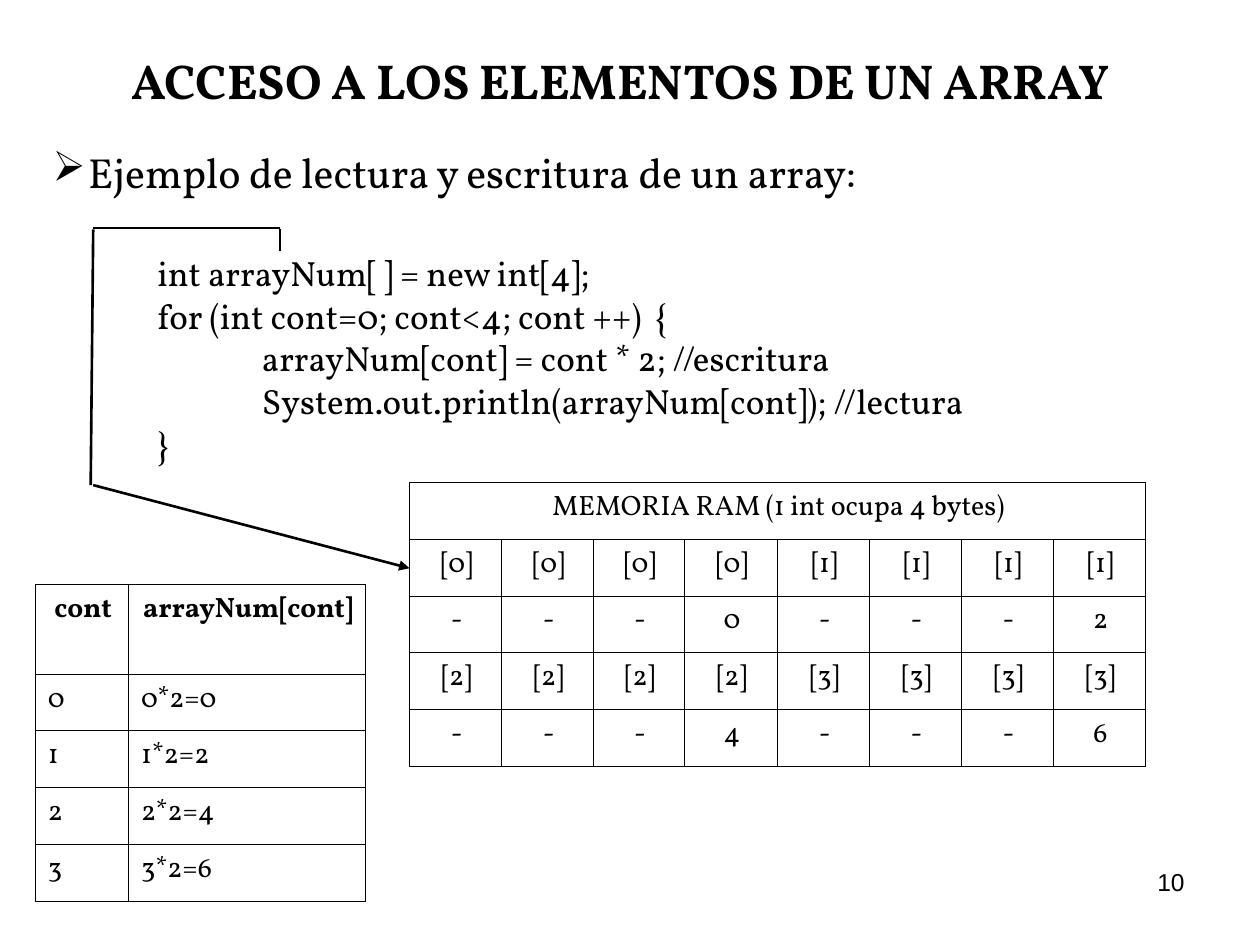
import dataclasses
import typing

import lxml.etree
import pptx
import pptx.dml.color
import pptx.enum.shapes
import pptx.enum.text
import pptx.oxml.ns
import pptx.util

Inches = pptx.util.Inches
Pt = pptx.util.Pt
Align = pptx.enum.text.PP_ALIGN
Anchor = pptx.enum.text.MSO_ANCHOR

COLORS = {"ink": "000000", "paper": "FFFFFF"}
SERIF = "Vollkorn"
TAB_STEP = 0.83
HANGING = 0.38
CODE_FORMAT = {"line_spacing": Pt(24.4), "alignment": Align.LEFT}


@dataclasses.dataclass
class Line:
    start: tuple[float, float]
    end: tuple[float, float]
    width: float
    arrow: bool = False


@dataclasses.dataclass
class Grid:
    left: float
    top: float
    columns: list[float]
    rows: list[float]
    texts: list[list[str]]
    body_align: Align
    bold_header: bool


def rgb(name: str) -> pptx.dml.color.RGBColor:
    return pptx.dml.color.RGBColor.from_string(COLORS[name])


def add_xml(parent: typing.Any, tag: str, **attributes: typing.Any) -> typing.Any:
    values = {key: str(value) for key, value in attributes.items()}
    return lxml.etree.SubElement(parent, pptx.oxml.ns.qn(tag), values)


def set_indent(para: typing.Any, margin: float) -> None:
    """Give the paragraph a hanging first line."""
    properties = para._p.get_or_add_pPr()
    properties.set("marL", str(Inches(margin)))
    properties.set("indent", str(-Inches(margin)))


def write(para: typing.Any, text: str, size: float, bold: bool = False,
          font: str = SERIF, **layout: typing.Any) -> None:
    span = para.add_run()
    span.text = text
    for name, value in {"size": Pt(size), "bold": bold, "name": font}.items():
        setattr(span.font, name, value)
    span.font.color.rgb = rgb("ink")
    for name, value in layout.items():
        setattr(para, name, value)


def add_box(slide: typing.Any, left: float, top: float, width: float, height: float,
            anchor: Anchor = Anchor.TOP) -> typing.Any:
    box = slide.shapes.add_textbox(Inches(left), Inches(top), Inches(width), Inches(height))
    frame = box.text_frame
    for name, value in {"word_wrap": True, "vertical_anchor": anchor}.items():
        setattr(frame, name, value)
    return frame


def add_example(slide: typing.Any, heading: str, code: list[str]) -> None:
    frame = add_box(slide, 0.32, 1.11, 8.82, 2.63)
    para = frame.paragraphs[0]
    set_indent(para, 0.28)
    add_xml(para._p.get_or_add_pPr(), "a:buChar", char="➢")
    write(para, heading, 24, alignment=Align.JUSTIFY)
    for index, text in enumerate(code):
        para = frame.add_paragraph()
        tabs = add_xml(para._p.get_or_add_pPr(), "a:tabLst")
        for stop in (1, 2):
            add_xml(tabs, "a:tab", pos=Inches(TAB_STEP * stop), algn="l")
        write(para, text, 20, space_before=Pt(0 if index else 31), **CODE_FORMAT)


def style_cell(cell: typing.Any) -> None:
    properties = cell._tc.get_or_add_tcPr()
    for side in ("L", "R", "T", "B"):
        border = add_xml(properties, f"a:ln{side}", w=Pt(0.45))
        add_xml(add_xml(border, "a:solidFill"), "a:srgbClr", val=COLORS["ink"])
    cell.fill.solid()
    cell.fill.fore_color.rgb = rgb("paper")
    margins = {"margin_left": 0.1, "margin_right": 0.08, "margin_top": 0.05, "margin_bottom": 0.05}
    for name, value in margins.items():
        setattr(cell, name, Inches(value))


def add_grid(slide: typing.Any, grid: Grid) -> None:
    shape = slide.shapes.add_table(
        len(grid.rows), len(grid.columns), Inches(grid.left), Inches(grid.top),
        Inches(sum(grid.columns)), Inches(sum(grid.rows)))
    table = shape.table
    table.first_row = table.horz_banding = False
    for column, width in zip(table.columns, grid.columns):
        column.width = Inches(width)
    for row, height in zip(table.rows, grid.rows):
        row.height = Inches(height)
    for cell in table.iter_cells():
        style_cell(cell)
    if len(grid.texts[0]) == 1:
        table.cell(0, 0).merge(table.cell(0, len(grid.columns) - 1))
    for row_index, texts in enumerate(grid.texts):
        header = row_index == 0
        for column_index, text in enumerate(texts):
            para = table.cell(row_index, column_index).text_frame.paragraphs[0]
            set_indent(para, HANGING)
            write(para, text, 16, header and grid.bold_header,
                  alignment=Align.CENTER if header else grid.body_align)


def add_line(slide: typing.Any, line: Line) -> None:
    points = [Inches(value) for value in line.start + line.end]
    connector = slide.shapes.add_connector(pptx.enum.shapes.MSO_CONNECTOR.STRAIGHT, *points)
    connector.line.color.rgb = rgb("ink")
    connector.line.width = Pt(line.width)
    if line.arrow:
        add_xml(connector.line._get_or_add_ln(), "a:tailEnd", type="triangle")
    add_xml(connector._element.spPr, "a:effectLst")


def memory_rows() -> list[list[str]]:
    """Each int takes four bytes, with its value in the last; two ints per row."""
    rows = [["MEMORIA RAM (1 int ocupa 4 bytes)"]]
    for first in (0, 2):
        pair = (first, first + 1)
        rows.append([f"[{index}]" for index in pair for _ in range(4)])
        rows.append([text for index in pair for text in ["-"] * 3 + [str(index * 2)]])
    return rows


def main() -> None:
    deck = pptx.Presentation()
    deck.slide_width, deck.slide_height = Inches(10), Inches(7.5)
    slide = deck.slides.add_slide(deck.slide_layouts[6])

    number = add_box(slide, 7.17, 6.83, 2.33, 0.52)
    write(number.paragraphs[0], "10", 14, font="Arial", alignment=Align.RIGHT)
    add_example(slide, "Ejemplo de lectura y escritura de un array:", [
        "\tint arrayNum[ ] = new int[4];",
        "\tfor (int cont=0; cont<4; cont ++)  {",
        "\t\tarrayNum[cont] = cont * 2; //escritura",
        "\t\tSystem.out.println(arrayNum[cont]); //lectura",
        "\t}",
    ])
    title = add_box(slide, 0.44, 0.31, 8.97, 0.65, Anchor.MIDDLE)
    write(title.paragraphs[0], "ACCESO A LOS ELEMENTOS DE UN ARRAY", 28, True,
          alignment=Align.CENTER)

    loop_rows = [["cont", "arrayNum[cont]"]]
    loop_rows += [[str(count), f"{count}*2={count * 2}"] for count in range(4)]
    add_grid(slide, Grid(0.28, 4.64, [0.74, 1.88], [0.71] + [0.45] * 4,
                         loop_rows, Align.LEFT, True))
    add_grid(slide, Grid(3.25, 3.83, [0.73, 0.73, 0.72, 0.74] + [0.73] * 4, [0.45] * 5,
                         memory_rows(), Align.CENTER, False))

    for line in (
        Line((0.74, 3.85), (3.25, 4.51), 1.5, arrow=True),
        Line((0.72, 3.85), (0.74, 1.82), 1.5),
        Line((0.74, 1.81), (2.22, 1.81), 1),
        Line((2.22, 1.82), (2.22, 1.99), 1),
    ):
        add_line(slide, line)
    deck.save("out.pptx")


if __name__ == "__main__":
    main()
